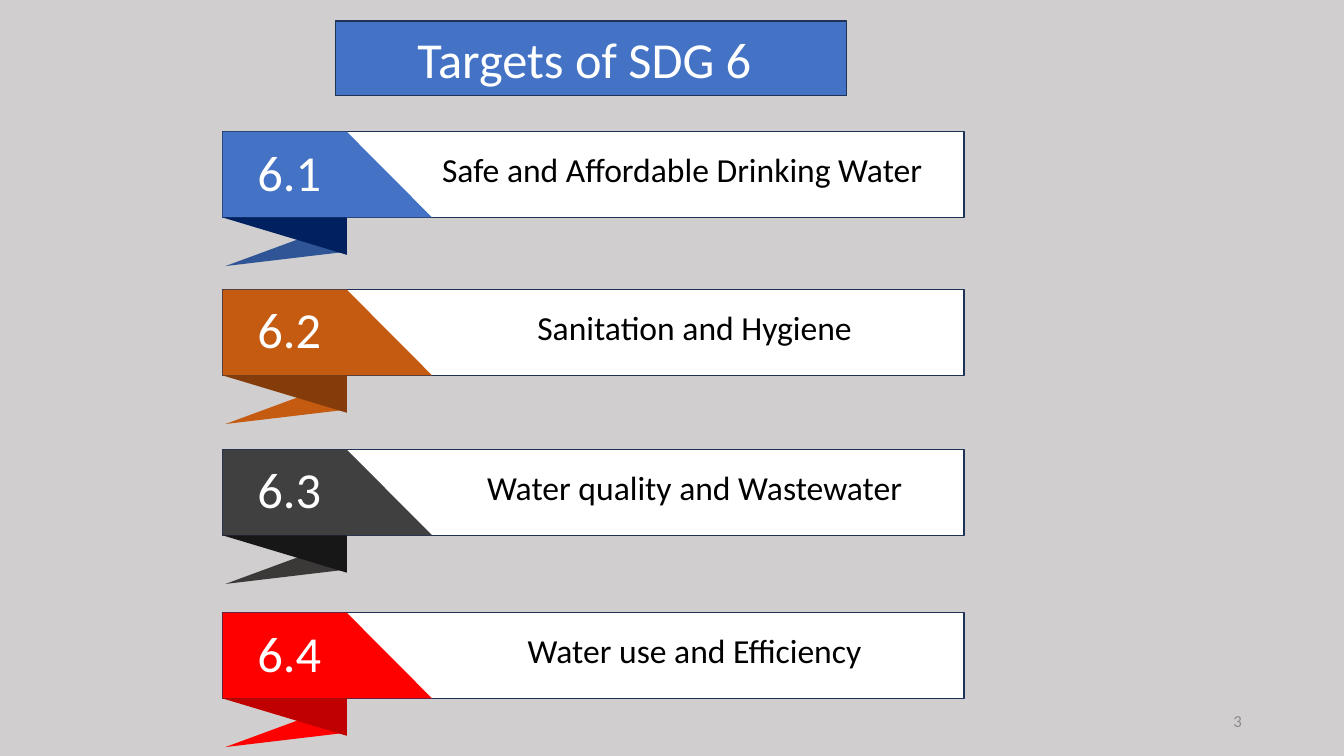
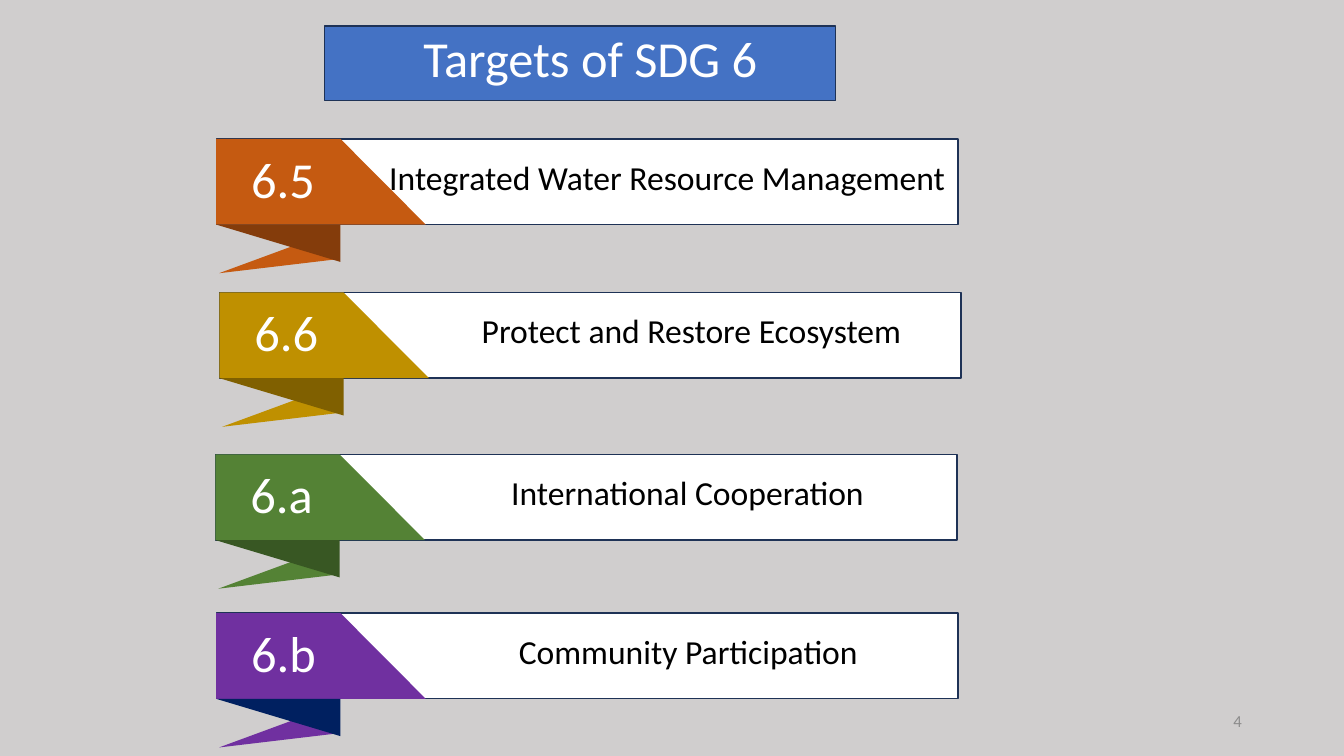
from pptx import Presentation
from pptx.dml.color import RGBColor
from pptx.enum.shapes import MSO_SHAPE
from pptx.enum.text import MSO_ANCHOR, PP_ALIGN
from pptx.util import Cm, Pt

RECT, TRIANGLE = MSO_SHAPE.RECTANGLE, MSO_SHAPE.RIGHT_TRIANGLE
TOP, MIDDLE = MSO_ANCHOR.TOP, MSO_ANCHOR.MIDDLE
LEFT, CENTER, RIGHT = PP_ALIGN.LEFT, PP_ALIGN.CENTER, PP_ALIGN.RIGHT

FONT = "Calibri"
GREY = RGBColor(0xD0, 0xCE, 0xCE)
PAGE_GREY = RGBColor(0x8C, 0x8C, 0x8C)
OUTLINE = RGBColor(0x1E, 0x32, 0x56)
WHITE = RGBColor(0xFF, 0xFF, 0xFF)
BLACK = RGBColor(0x00, 0x00, 0x00)
BLUE = RGBColor(0x44, 0x72, 0xC4)
MID_BLUE = RGBColor(0x2F, 0x55, 0x97)
NAVY = RGBColor(0x00, 0x20, 0x60)
ORANGE = RGBColor(0xC5, 0x5A, 0x11)
BROWN = RGBColor(0x84, 0x3C, 0x0B)
CHARCOAL = RGBColor(0x40, 0x40, 0x40)
DARK_GREY = RGBColor(0x3B, 0x38, 0x38)
NEAR_BLACK = RGBColor(0x18, 0x17, 0x17)
RED = RGBColor(0xFF, 0x00, 0x00)
DARK_RED = RGBColor(0xC0, 0x00, 0x00)
GOLD = RGBColor(0xBF, 0x90, 0x00)
DARK_GOLD = RGBColor(0x80, 0x60, 0x00)
GREEN = RGBColor(0x54, 0x82, 0x35)
DARK_GREEN = RGBColor(0x38, 0x57, 0x23)
PURPLE = RGBColor(0x70, 0x30, 0xA0)

TITLE = "Targets of SDG 6"
CENTERED = (5.28, 13.23, CENTER)
FLUSH = (5.28, 13.23, LEFT)
WIDE = (4.11, 14.78, LEFT)

SLIDES = [
    {"page": "3", "title_at": (8.46, 0.53), "insets": (2.06, 0), "targets": [
        ("6.1", "Safe and Affordable Drinking Water", 5.61, 3.32, BLUE, NAVY, MID_BLUE, FLUSH),
        ("6.2", "Sanitation and Hygiene", 5.61, 7.3, ORANGE, BROWN, ORANGE, CENTERED),
        ("6.3", "Water quality and Wastewater", 5.61, 11.33, CHARCOAL, NEAR_BLACK, DARK_GREY, CENTERED),
        ("6.4", "Water use and Efficiency", 5.61, 15.44, RED, DARK_RED, RED, CENTERED),
    ]},
    {"page": "4", "title_at": (8.18, 0.66), "insets": (2.49, 0.33), "targets": [
        ("6.5", "Integrated Water Resource Management", 5.45, 3.5, ORANGE, BROWN, ORANGE, WIDE),
        ("6.6", "Protect and Restore Ecosystem", 5.53, 7.37, GOLD, DARK_GOLD, GOLD, CENTERED),
        ("6.a", "International Cooperation", 5.43, 11.45, GREEN, DARK_GREEN, GREEN, CENTERED),
        ("6.b", "Community Participation", 5.45, 15.45, PURPLE, NAVY, PURPLE, CENTERED),
    ]},
]

BAR_W, BAR_H = 18.69, 2.16
TAG_W, FOLD_W, FOLD_H = 5.28, 3.13, 0.94


def write(tf, text, size, color, align=LEFT, anchor=TOP):
    tf.word_wrap = True
    tf.vertical_anchor = anchor
    p = tf.paragraphs[0]
    p.alignment = align
    r = p.add_run()
    r.text = text
    r.font.name, r.font.size = FONT, Pt(size)
    r.font.color.rgb = color


def add_text(shapes, text, x, y, w, h, **style):
    box = shapes.add_textbox(Cm(x), Cm(y), Cm(w), Cm(h))
    write(box.text_frame, text, **style)


def paint(sp, fill, line=None):
    sp.fill.solid()
    sp.fill.fore_color.rgb = fill
    if line is None:
        sp.line.fill.background()
    else:
        sp.line.color.rgb = line
        sp.line.width = Pt(1)


def add_shape(shapes, kind, x, y, w, h, fill, line=None, rotation=0):
    sp = shapes.add_shape(kind, Cm(x), Cm(y), Cm(w), Cm(h))
    sp.shadow.inherit = False
    sp.rotation = rotation
    paint(sp, fill, line)


def add_tag(shapes, x, y, fill):
    corners = [(x + FOLD_W, y), (x + TAG_W, y + BAR_H), (x, y + BAR_H)]
    builder = shapes.build_freeform(Cm(x), Cm(y))
    builder.add_line_segments([(Cm(a), Cm(b)) for a, b in corners], close=True)
    sp = builder.convert_to_shape()
    sp.shadow.inherit = False
    paint(sp, fill)


def add_target(s, number, label, x, y, fill, fold, tail, label_fit):
    shapes = s.shapes.add_group_shape().shapes
    dx, width, align = label_fit
    add_shape(shapes, TRIANGLE, x + 0.1, y + 2.85, 2.97, 0.71, tail, rotation=159.8)
    add_shape(shapes, RECT, x, y, BAR_W, BAR_H, WHITE, line=OUTLINE)
    add_tag(shapes, x, y, fill)
    add_shape(shapes, TRIANGLE, x, y + BAR_H, FOLD_W, FOLD_H, fold, rotation=180)
    add_text(shapes, label, x + dx, y + 0.32, width, 1.27, size=24, color=BLACK, align=align)
    add_text(shapes, number, x + 0.63, y + 0.1, 2.87, 1.8, size=36, color=WHITE)


def add_title(s, at, insets):
    title = s.shapes.title
    title.left, title.top = Cm(at[0]), Cm(at[1])
    title.width, title.height = Cm(12.88), Cm(1.88)
    geometry = title.element.spPr.get_or_add_prstGeom() if hasattr(
        title.element.spPr, "get_or_add_prstGeom") else title.element.spPr._add_prstGeom()
    geometry.set("prst", "roundRect")
    paint(title, BLUE, OUTLINE)
    tf = title.text_frame
    tf.margin_left, tf.margin_bottom = Cm(insets[0]), Cm(insets[1])
    tf.margin_top = tf.margin_right = 0
    write(tf, TITLE, 36, WHITE, anchor=MIDDLE)


def main():
    prs = Presentation()
    prs.slide_width, prs.slide_height = Cm(33.87), Cm(19.05)
    background = prs.slide_master.background.fill
    background.solid()
    background.fore_color.rgb = GREY
    for content in SLIDES:
        s = prs.slides.add_slide(prs.slide_layouts[5])
        add_title(s, content["title_at"], content["insets"])
        for target in content["targets"]:
            add_target(s, *target)
        add_text(s.shapes, content["page"], 23.93, 17.66, 7.62, 1.01,
                 size=12, color=PAGE_GREY, align=RIGHT, anchor=MIDDLE)
    prs.save("out.pptx")


if __name__ == "__main__":
    main()
